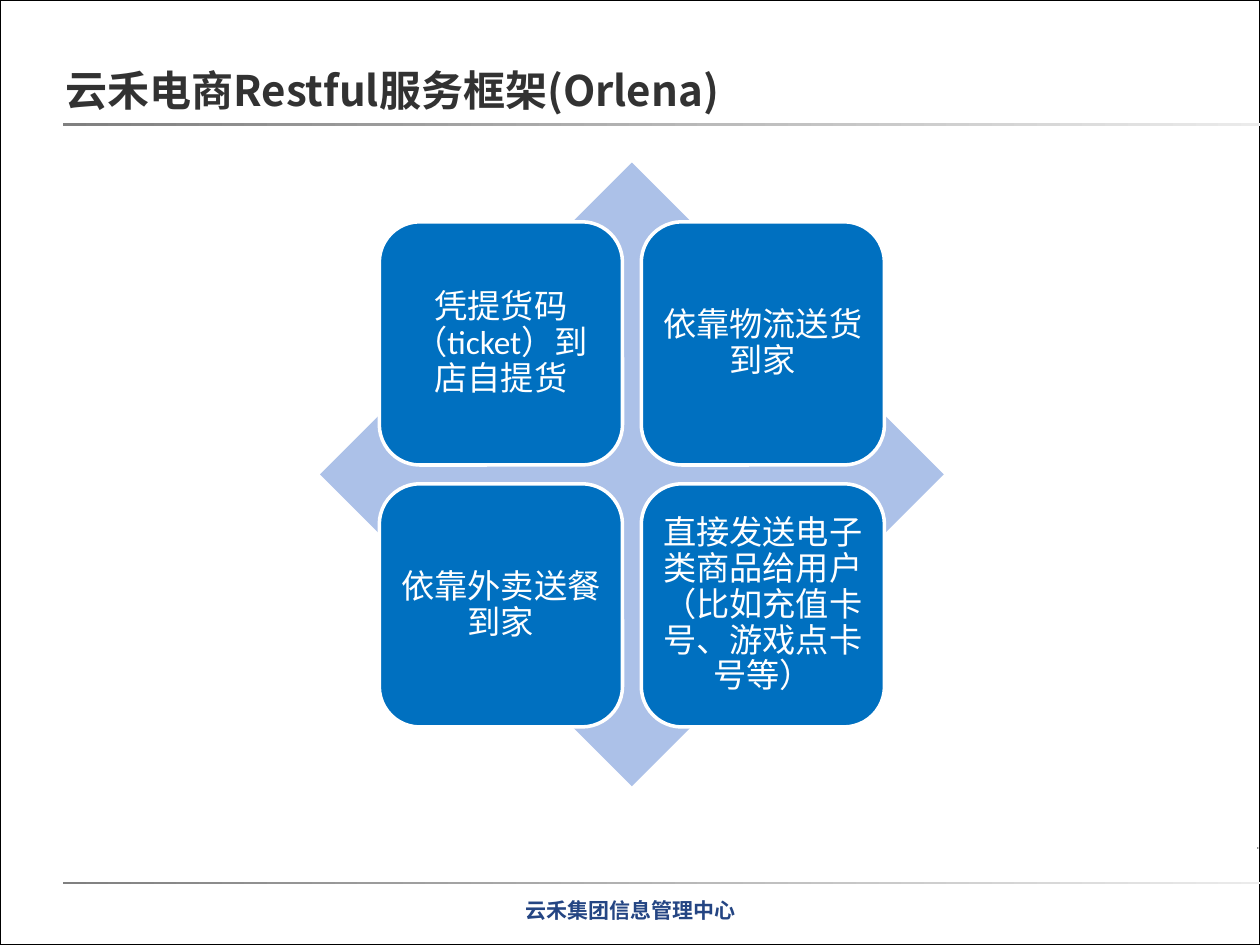
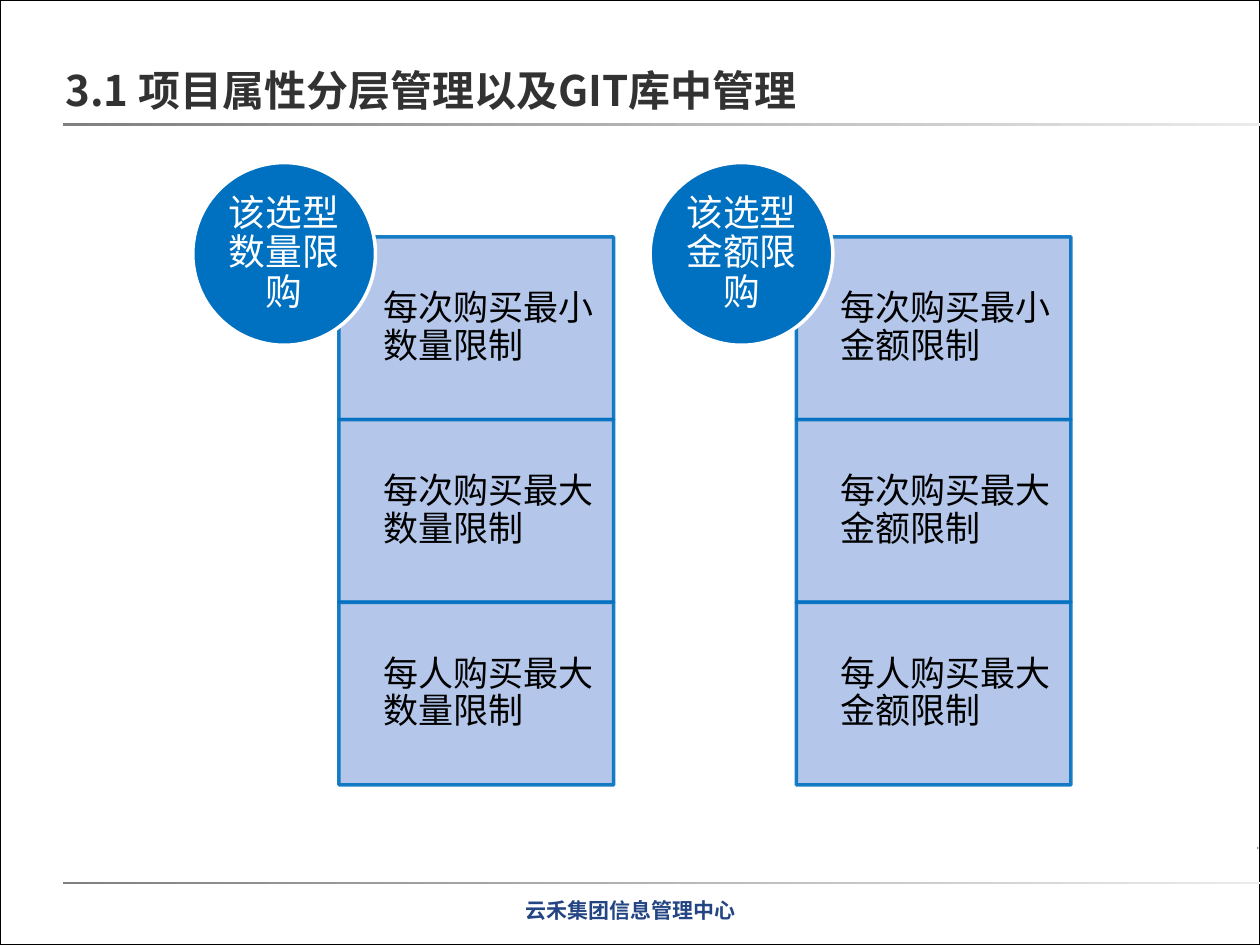
import pptx
import pptx.util
import pptx.dml.color
import pptx.enum.shapes
import pptx.enum.text
import pptx.oxml
import pptx.oxml.ns

Inches = pptx.util.Inches
Pt = pptx.util.Pt
RGB = pptx.dml.color.RGBColor
Kind = pptx.enum.shapes.MSO_SHAPE
Align = pptx.enum.text.PP_ALIGN
Anchor = pptx.enum.text.MSO_ANCHOR

WHITE = RGB(0xFF, 0xFF, 0xFF)
BLACK = RGB(0, 0, 0)
BACK = RGB(0xEA, 0xEA, 0xEA)
GRAY = RGB(0x80, 0x80, 0x80)
PALE = RGB(0xEB, 0xEB, 0xEB)
BLUE = RGB(0x00, 0x70, 0xC0)
LIGHT = RGB(0xAC, 0xC1, 0xE8)
NAVY = RGB(0x24, 0x45, 0x83)
DARK = RGB(0x32, 0x32, 0x32)

WIDTH, HEIGHT = 10, 7.5
HAN = "Noto Sans CJK SC"
FOOTER = "云禾集团信息管理中心"

TITLE = {"size": Pt(24), "name": HAN, "bold": True}
FOOT = {"size": Pt(12), "name": "Karla", "bold": True}
TILE = {"size": Pt(19), "name": "Calibri"}
CELL = {"size": Pt(20), "name": "Calibri"}
DISC = {"size": Pt(21), "name": "Calibri"}


def write(shape, text, font, color, pad=(0, 0, 0, 0), align=Align.CENTER,
          anchor=Anchor.MIDDLE, space=0.9):
    """Put text in a shape; pad is left, top, right, bottom in inches."""
    frame = shape.text_frame
    frame.word_wrap = True
    frame.vertical_anchor = anchor
    for side, gap in zip(("left", "top", "right", "bottom"), pad):
        setattr(frame, "margin_" + side, Inches(gap))
    para = frame.paragraphs[0]
    para.alignment = align
    para.line_spacing = space
    run = para.add_run()
    run.text = text
    for key, value in font.items():
        setattr(run.font, key, value)
    run.font.color.rgb = color
    props = run.font._element
    east = pptx.oxml.parse_xml(
        f'<a:ea {pptx.oxml.ns.nsdecls("a")} typeface="{HAN}"/>')
    props.find(pptx.oxml.ns.qn("a:latin")).addnext(east)


def draw(slide, kind, box, fill, line=None, weight=2):
    shape = slide.shapes.add_shape(kind, *map(Inches, box))
    shape.shadow.inherit = False
    shape.fill.solid()
    shape.fill.fore_color.rgb = fill
    if line is None:
        shape.line.fill.background()
    else:
        shape.line.color.rgb = line
        shape.line.width = Pt(weight)
    return shape


def label(slide, box, *args, **style):
    text = slide.shapes.add_textbox(*map(Inches, box))
    write(text, *args, **style)


def fade(slide, box):
    """Draw a thin bar that pales to the right."""
    bar = draw(slide, Kind.RECTANGLE, box, GRAY)
    bar.fill.gradient()
    bar.fill.gradient_angle = 0
    for stop, color in zip(bar.fill.gradient_stops, (GRAY, PALE)):
        stop.color.rgb = color


def dim(shape, percent):
    """Make the fill and line of a shape slightly see-through."""
    for color in shape._element.spPr.iter(pptx.oxml.ns.qn("a:srgbClr")):
        color.append(pptx.oxml.parse_xml(
            f'<a:alpha {pptx.oxml.ns.nsdecls("a")} val="{percent * 1000}"/>'))


def start(deck, title):
    """Add a slide with the shared frame, rules, footer and title."""
    slide = deck.slides.add_slide(deck.slide_layouts[6])
    slide.background.fill.solid()
    slide.background.fill.fore_color.rgb = BACK
    draw(slide, Kind.RECTANGLE, (0, 0, WIDTH, HEIGHT), WHITE, BLACK, 1)
    fade(slide, (9.98, 6.72, 0.01, 0.02))
    for top in (0.98, 7):
        fade(slide, (0.5, top, 9.53, 0.02))
    label(slide, (3.43, 7.12, 3.15, 0.25), FOOTER, FOOT, NAVY,
          pad=(0.1, 0.05, 0.1, 0.05), anchor=Anchor.BOTTOM, space=1.0)
    label(slide, (0.52, 0.51, 8.98, 0.4), title, TITLE, DARK,
          align=Align.LEFT, anchor=Anchor.BOTTOM, space=Pt(26))
    return slide


def matrix(slide, left, top, size, texts):
    """Lay four tiles, two by two, over a diamond."""
    draw(slide, Kind.DIAMOND, (left, top, size, size), LIGHT)
    tile, gap = 0.39 * size, 0.03 * size
    edge = (size - 2 * tile - gap) / 2
    for i, text in enumerate(texts):
        row, col = divmod(i, 2)
        x = left + edge + col * (tile + gap)
        y = top + edge + row * (tile + gap)
        shape = draw(slide, Kind.ROUNDED_RECTANGLE, (x, y, tile, tile),
                     BLUE, WHITE)
        write(shape, text, TILE, WHITE, pad=(0.07,) * 4)


def stack(slide, left, top, head, texts):
    """Pile cells below a disc that overlaps their top left corner."""
    disc, wide, high = 1.45, 2.18, 1.45
    for i, text in enumerate(texts):
        box = (left + 1.16, top + 0.59 + i * high, wide, high)
        cell = draw(slide, Kind.RECTANGLE, box, LIGHT, BLUE)
        dim(cell, 90)
        write(cell, text, CELL, BLACK, pad=(0.35, 0.16, 0.15, 0.16),
              align=Align.LEFT)
    shape = draw(slide, Kind.OVAL, (left, top, disc, disc), BLUE, WHITE)
    write(shape, head, DISC, WHITE)


def main():
    deck = pptx.Presentation()
    deck.slide_width, deck.slide_height = Inches(WIDTH), Inches(HEIGHT)

    slide = start(deck, "云禾电商Restful服务框架(Orlena)")
    matrix(slide, 2.54, 1.29, 4.95, (
        "凭提货码（ticket）到店自提货",
        "依靠物流送货到家",
        "依靠外卖送餐到家",
        "直接发送电子类商品给用户（比如充值卡号、游戏点卡号等）"))

    slide = start(deck, "3.1 项目属性分层管理以及GIT库中管理")
    for i, unit in enumerate(("数量", "金额")):
        limits = [f"{each}购买最{end}{unit}限制" for each, end in
                  (("每次", "小"), ("每次", "大"), ("每人", "大"))]
        stack(slide, 1.53 + i * 3.63, 1.29, f"该选型{unit}限购", limits)

    deck.save("out.pptx")


if __name__ == "__main__":
    main()
